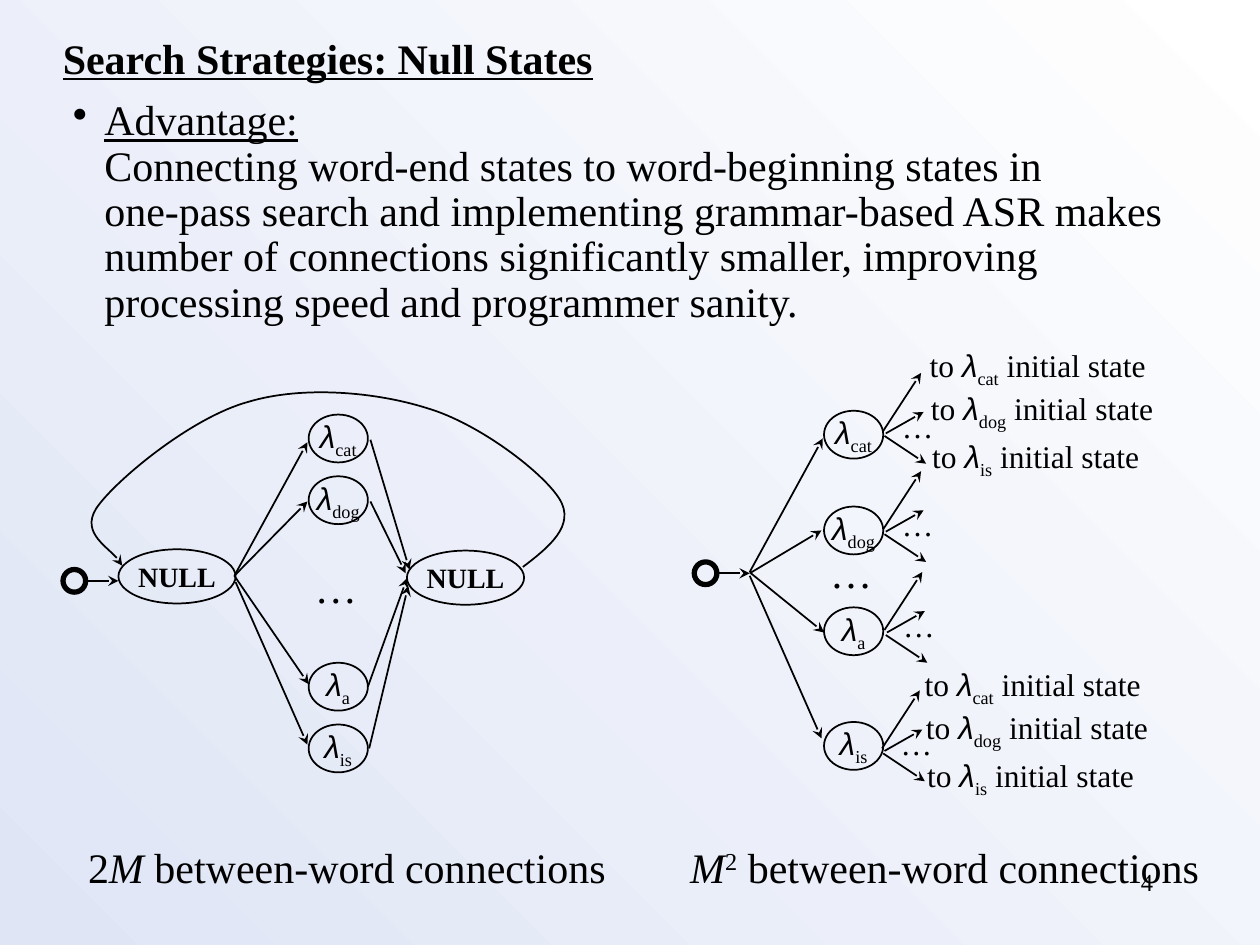
from lxml import etree
from pptx import Presentation
from pptx import util as u
from pptx.dml.color import RGBColor
from pptx.enum import shapes, text
from pptx.oxml import ns

BLACK = RGBColor(0x00, 0x00, 0x00)
WHITE = RGBColor(0xFF, 0xFF, 0xFF)
MIST = RGBColor(0xDF, 0xE5, 0xF5)
SERIF, SANS = "Times New Roman", "Arial"
LEFT, CENTER, RIGHT = text.PP_ALIGN.LEFT, text.PP_ALIGN.CENTER, text.PP_ALIGN.RIGHT

# The slide is a grid of 100 columns by 75 rows
COLS, ROWS = 100, 75
CELL = u.Inches(0.1)
WORD_W, WORD_H = 4.7, 3.8
NULL_W, NULL_H = 9.3, 4.3
RING = 1.8

# Run styles: sub- and superscripts are baseline shifts in 1/1000 percent
SHIFTS = {"sub": -25000, "sup": 30000}
LABEL_WIDTHS = {"cat": 19.3, "dog": 19.8, "is": 18.6}


def grid(*cells):
    return [u.Emu(round(c * CELL)) for c in cells]


def word_runs(word):
    return [("λ", "lambda"), (word, "sub")]


def write_runs(p, runs, size):
    for content, style in runs:
        r = p.add_run()
        r.text = content
        r.font.size, r.font.color.rgb = u.Pt(size), BLACK
        r.font.name = SANS if style == "lambda" else SERIF
        if style in ("lambda", "italic"):
            r.font.italic = True
        if style in ("bold", "title"):
            r.font.bold = True
        if style in ("title", "underline"):
            r.font.underline = True
        if style in SHIFTS:
            r._r.get_or_add_rPr().set("baseline", str(SHIFTS[style]))


def add_text(s, x, y, w, h, runs, size, align=LEFT):
    tf = s.shapes.add_textbox(*grid(x, y, w, h)).text_frame
    tf.word_wrap = False
    p = tf.paragraphs[0]
    p.alignment = align
    write_runs(p, runs, size)
    return p


def add_ellipse(s, x, y, w, h, runs=(), size=18, weight=1):
    sp = s.shapes.add_shape(shapes.MSO_SHAPE.OVAL, *grid(x, y, w, h))
    sp.shadow.inherit = False
    sp.fill.background()
    sp.line.color.rgb, sp.line.width = BLACK, u.Pt(weight)
    tf = sp.text_frame
    tf.word_wrap = False
    tf.vertical_anchor = text.MSO_ANCHOR.MIDDLE
    tf.margin_left = tf.margin_right = tf.margin_top = tf.margin_bottom = u.Inches(0.02)
    tf.paragraphs[0].alignment = CENTER
    write_runs(tf.paragraphs[0], runs, size)


def add_word(s, x, y, word):
    add_ellipse(s, x, y, WORD_W, WORD_H, word_runs(word))


def add_null(s, x, y):
    add_ellipse(s, x, y, NULL_W, NULL_H, [("NULL", "bold")], 16)


def style_arrow(sp):
    sp.line.color.rgb, sp.line.width = BLACK, u.Pt(1)
    etree.SubElement(sp.line._get_or_add_ln(), ns.qn("a:tailEnd"), type="stealth")


def add_arrow(s, start, end):
    line = s.shapes.add_connector(shapes.MSO_CONNECTOR.STRAIGHT, *grid(*start, *end))
    style_arrow(line)
    etree.SubElement(line._element.spPr, ns.qn("a:effectLst"))


def add_curve(s, points):
    """Cubic curve: a start point, then three points for each segment."""
    builder = s.shapes.build_freeform(*grid(*points[0]))
    builder.add_line_segments([grid(*pt) for pt in points[1:]], close=False)
    sp = builder.convert_to_shape()
    sp.shadow.inherit = False
    sp.fill.background()
    style_arrow(sp)
    outline = next(sp._element.iter(ns.qn("a:path")))
    steps = outline.findall(ns.qn("a:lnTo"))
    for i in range(0, len(steps), 3):
        bezier = etree.SubElement(outline, ns.qn("a:cubicBezTo"))
        for step in steps[i:i + 3]:
            bezier.append(step[0])
            outline.remove(step)


def add_start(s, x, y):
    """Start ring and its short arrow."""
    add_ellipse(s, x, y, RING, RING, weight=3)
    mid = y + RING / 2
    add_arrow(s, (x + RING, mid), (x + RING + 2.6, mid))


def add_fan(s, x, y):
    """Three arrows leaving a word, with dots between them."""
    add_text(s, x + 0.5, y - 2.4, 4.5, 4, [("…", "")], 18)
    for x1, y1, x2, y2 in ((0, 0, 3, -4.6), (0.2, 0.2, 3.2, -1.5), (0.1, 0.4, 3.4, 2.6)):
        add_arrow(s, (x + x1, y + y1), (x + x2, y + y2))


def add_targets(s, x, y):
    """Labels for the states that a fan leads to."""
    for (word, width), dx, dy in zip(LABEL_WIDTHS.items(), (0, 0.1, 0.2), (0, 3.4, 7.2)):
        runs = [("to ", ""), *word_runs(word), (" initial state", "")]
        add_text(s, x + dx, y + dy, width, 4.4, runs, 18)


def add_body(s):
    p = add_text(s, 4.8, 7.4, 88.7, 22.7, [], 24)
    p.line_spacing = 0.9
    pPr = p._p.get_or_add_pPr()
    pPr.set("marL", str(u.Inches(0.25)))
    pPr.set("indent", str(-u.Inches(0.25)))
    etree.SubElement(pPr, ns.qn("a:buChar"), char="•")
    lines = ("Connecting word-end states to word-beginning states in",
             "one-pass search and implementing grammar-based ASR makes",
             "number of connections significantly smaller, improving",
             "processing speed and programmer sanity.")
    write_runs(p, [("Advantage:", "underline")], 24)
    for line in lines:
        p.add_line_break()
        write_runs(p, [(line, "")], 24)


def add_null_network(s):
    add_start(s, 5, 45.2)
    add_null(s, 9.4, 43.6)
    add_null(s, 32.3, 43.7)
    add_text(s, 24, 44.1, 5.3, 5, [("…", "")], 24, CENTER)
    # word, top, arrow in (start, end), arrow out (start, end)
    words = (("cat", 32.9, (18.6, 45.7), (24.4, 35.1), (29.4, 34.9), (32.5, 45.2)),
             ("dog", 37.8, (18.6, 45.7), (24.4, 39.8), (29.4, 39.8), (32.2, 45.5)),
             ("a", 52.6, (18.6, 45.7), (24.5, 54.3), (29.2, 54.5), (32.3, 45.9)),
             ("is", 57.5, (18.7, 46.2), (24.4, 59.1), (29.3, 59.4), (32.4, 46.5)))
    for word, top, in_start, in_end, out_start, out_end in words:
        add_word(s, 24.5, top, word)
        add_arrow(s, in_start, in_end)
        add_arrow(s, out_start, out_end)
    # Loop back from the last state to the first
    add_curve(s, [(41.5, 45), (43.6, 43.4), (45.7, 41.7), (44.4, 39.6),
                  (43.1, 37.5), (38, 33.6), (33.9, 32.4),
                  (29.8, 31.1), (24, 30.6), (19.7, 31.9),
                  (15.3, 33.1), (9.6, 37.8), (7.9, 40),
                  (6.2, 42.1), (9.3, 43.9), (9.7, 44.9)])


def add_full_network(s):
    add_start(s, 55.1, 44.6)
    add_text(s, 64.9, 42.9, 5.3, 5, [("…", "")], 24, CENTER)
    # word, top, arrow in (start, end), fan origin
    words = (("cat", 32.6, (59.5, 45.4), (65.3, 34.8), (70.1, 34.2)),
             ("dog", 40.2, (59.5, 45.5), (65.2, 42.1), (70.1, 42)),
             ("a", 48.2, (59.6, 45.5), (65.4, 50.2), (70.2, 50)),
             ("is", 57.3, (59.5, 45.7), (65.2, 58.6), (70, 59.4)))
    for word, top, start, end, fan in words:
        add_word(s, 65.4, top, word)
        add_arrow(s, start, end)
        add_fan(s, *fan)
    add_targets(s, 72.8, 27)
    add_targets(s, 72.4, 52.3)


def main():
    prs = Presentation()
    prs.slide_width, prs.slide_height = grid(COLS, ROWS)
    s = prs.slides.add_slide(prs.slide_layouts[6])

    # Background, white at the top right
    fill = s.background.fill
    fill.gradient()
    fill.gradient_angle = 225
    for stop, color in zip(fill.gradient_stops, (WHITE, MIST)):
        stop.color.rgb = color

    # Heading and statement
    add_body(s)
    add_text(s, 4, 2.1, 44.1, 5, [("Search Strategies: Null States", "title")], 24)

    # The two networks with their captions
    add_null_network(s)
    add_full_network(s)
    ending = (" between-word connections", "")
    add_text(s, 6, 66.3, 43.1, 5, [("2", ""), ("M", "italic"), ending], 24)
    add_text(s, 53.8, 66.3, 42.4, 5, [("M", "italic"), ("2", "sup"), ending], 24)

    # Page number
    add_text(s, 71.7, 68.3, 20.8, 5, [("4", "")], 14, RIGHT)
    prs.save("out.pptx")


if __name__ == "__main__":
    main()
